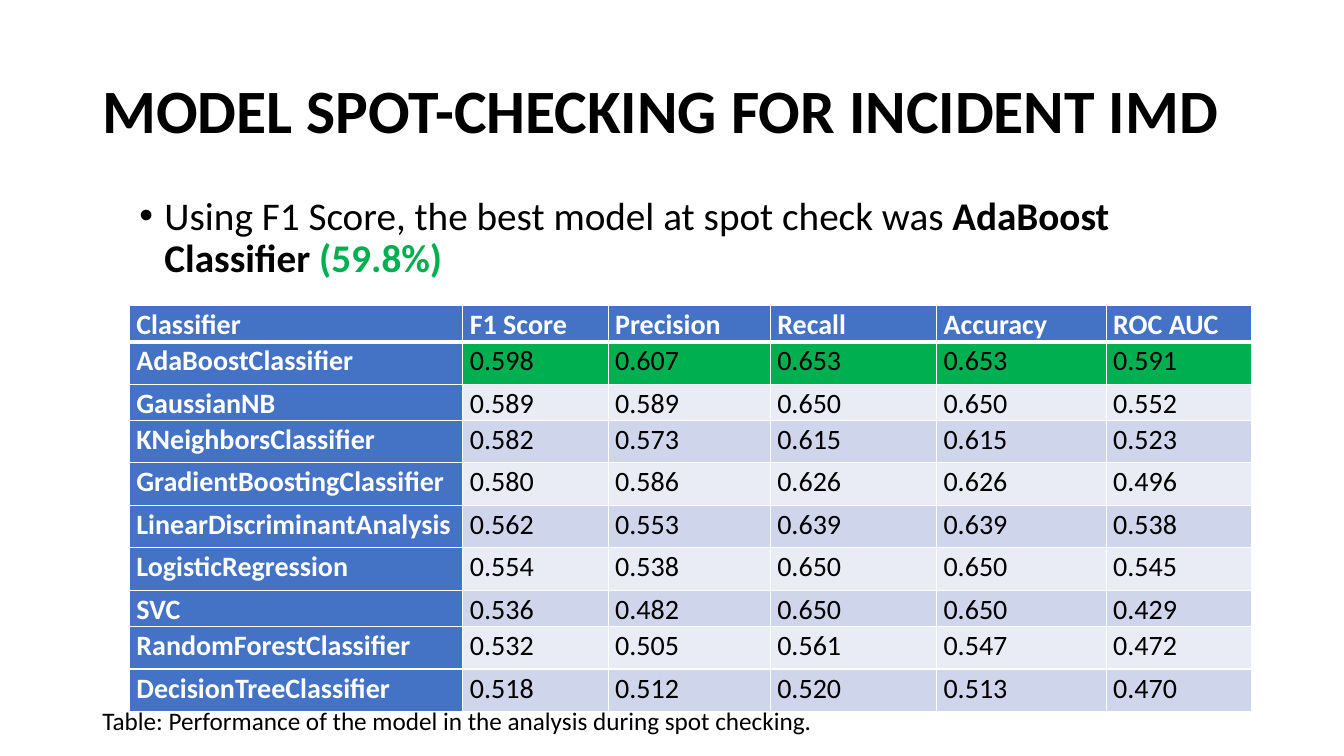
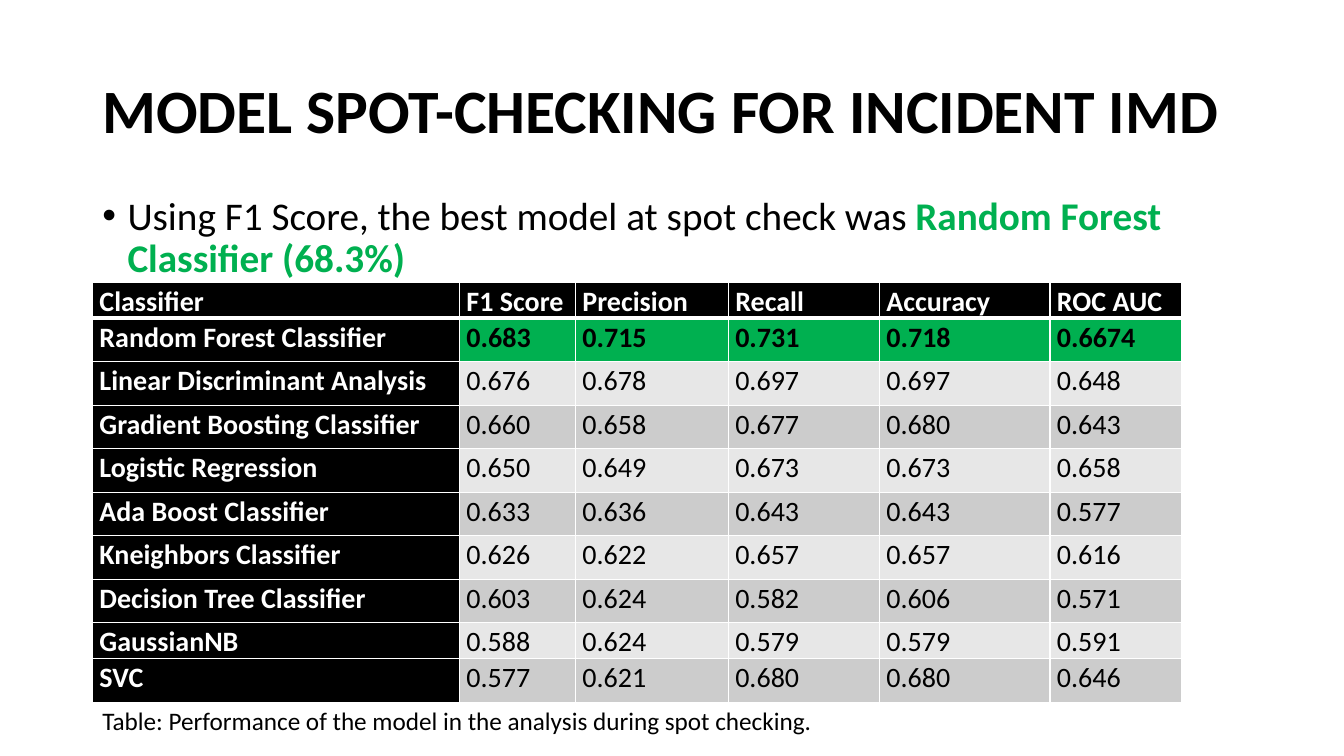
"""Build two slides that compare classifiers in spot-check score tables."""
from lxml import etree
from pptx import Presentation
from pptx import util as u
from pptx.dml.color import RGBColor
from pptx.enum import text
from pptx.oxml import ns

BLACK = RGBColor(0x00, 0x00, 0x00)
WHITE = RGBColor(0xFF, 0xFF, 0xFF)
GREEN = RGBColor(0x00, 0xB0, 0x50)
BLUE = RGBColor(0x44, 0x72, 0xC4)
PALE_BLUE = RGBColor(0xE9, 0xEB, 0xF5)
MID_BLUE = RGBColor(0xCF, 0xD5, 0xEA)
PALE_GREY = RGBColor(0xE7, 0xE7, 0xE7)
MID_GREY = RGBColor(0xCC, 0xCC, 0xCC)

BLUE_THEME = (BLUE, PALE_BLUE, MID_BLUE)
BLACK_THEME = (BLACK, PALE_GREY, MID_GREY)

TITLE = "MODEL SPOT-CHECKING FOR INCIDENT IMD"
FINDING = "Using F1 Score, the best model at spot check was "
CAPTION = "Table: Performance of the model in the analysis during spot checking."
HEADINGS = ("Classifier", "F1 Score", "Precision", "Recall", "Accuracy", "ROC AUC")

FIRST_SCORES = (
    ("AdaBoostClassifier", "0.598", "0.607", "0.653", "0.653", "0.591"),
    ("GaussianNB", "0.589", "0.589", "0.650", "0.650", "0.552"),
    ("KNeighborsClassifier", "0.582", "0.573", "0.615", "0.615", "0.523"),
    ("GradientBoostingClassifier", "0.580", "0.586", "0.626", "0.626", "0.496"),
    ("LinearDiscriminantAnalysis", "0.562", "0.553", "0.639", "0.639", "0.538"),
    ("LogisticRegression", "0.554", "0.538", "0.650", "0.650", "0.545"),
    ("SVC", "0.536", "0.482", "0.650", "0.650", "0.429"),
    ("RandomForestClassifier", "0.532", "0.505", "0.561", "0.547", "0.472"),
    ("DecisionTreeClassifier", "0.518", "0.512", "0.520", "0.513", "0.470"),
)
SECOND_SCORES = (
    ("Random Forest Classifier", "0.683", "0.715", "0.731", "0.718", "0.6674"),
    ("Linear Discriminant Analysis", "0.676", "0.678", "0.697", "0.697", "0.648"),
    ("Gradient Boosting Classifier", "0.660", "0.658", "0.677", "0.680", "0.643"),
    ("Logistic Regression", "0.650", "0.649", "0.673", "0.673", "0.658"),
    ("Ada Boost Classifier", "0.633", "0.636", "0.643", "0.643", "0.577"),
    ("Kneighbors Classifier", "0.626", "0.622", "0.657", "0.657", "0.616"),
    ("Decision Tree Classifier", "0.603", "0.624", "0.582", "0.606", "0.571"),
    ("GaussianNB", "0.588", "0.624", "0.579", "0.579", "0.591"),
    ("SVC", "0.577", "0.621", "0.680", "0.680", "0.646"),
)


class Deck:
    """Hold the style, a 160 by 90 grid and the current slide."""

    FONT = "Calibri"
    UNIT = u.Inches(13.33) / 160
    MARGIN = 11

    def __init__(self):
        """Start an empty widescreen presentation."""
        self.presentation = Presentation()
        self.presentation.slide_width = u.Inches(13.33)
        self.presentation.slide_height = u.Inches(7.5)
        self.slide = None

    def grid(self, *counts):
        """Turn counts of grid steps into lengths."""
        return [u.Emu(round(count * self.UNIT)) for count in counts]

    def style(self, paragraph, size, color=BLACK, bold=False, spacing=None):
        """Format every run of a paragraph alike."""
        if spacing:
            paragraph.line_spacing = spacing
        for run in paragraph.runs:
            run.font.name = self.FONT
            run.font.size = u.Pt(size)
            run.font.bold = bold
            run.font.color.rgb = color

    def add_slide(self):
        """Open a new slide with the shared title."""
        self.slide = self.presentation.slides.add_slide(self.presentation.slide_layouts[5])
        title = self.slide.shapes.title
        title.left, title.top, title.width, title.height = self.grid(self.MARGIN, 4.8, 138, 17.4)
        frame = title.text_frame
        frame.text = TITLE
        frame.word_wrap = True
        frame.auto_size = text.MSO_AUTO_SIZE.NONE
        frame.vertical_anchor = text.MSO_ANCHOR.MIDDLE
        frame.paragraphs[0].alignment = text.PP_ALIGN.LEFT
        self.style(frame.paragraphs[0], 44, bold=True, spacing=0.9)

    def add_text(self, words, left, top, width, height):
        """Add a wrapping text box and return its frame."""
        box = self.slide.shapes.add_textbox(*self.grid(left, top, width, height))
        box.text_frame.text = words
        box.text_frame.word_wrap = True
        return box.text_frame

    def add_finding(self, left, width, height, highlights):
        """Add the bulleted finding, ending in bold coloured runs."""
        paragraph = self.add_text(FINDING, left, 22.8, width, height).paragraphs[0]
        properties = paragraph._p.get_or_add_pPr()
        indent = self.grid(3)[0]
        properties.set("marL", str(indent))
        properties.set("indent", str(-indent))
        etree.SubElement(properties, ns.qn("a:buFont")).set("typeface", "Arial")
        etree.SubElement(properties, ns.qn("a:buChar")).set("char", "•")
        for words, _ in highlights:
            paragraph.add_run().text = words
        self.style(paragraph, 28, spacing=0.9)
        for run, (_, color) in zip(paragraph.runs[1:], highlights):
            run.font.bold = True
            run.font.color.rgb = color

    def add_caption(self):
        """Add the table caption at the foot."""
        frame = self.add_text(CAPTION, self.MARGIN, 83.4, 144.7, 4.8)
        frame.auto_size = text.MSO_AUTO_SIZE.SHAPE_TO_FIT_TEXT
        self.style(frame.paragraphs[0], 18)

    def add_borders(self, cell, top, bottom):
        """Draw white borders of the given widths in points."""
        properties = cell._tc.get_or_add_tcPr()
        for side, points in (("L", 1), ("R", 1), ("T", top), ("B", bottom)):
            line = etree.SubElement(properties, ns.qn(f"a:ln{side}"), w=str(u.Pt(points)))
            fill = etree.SubElement(line, ns.qn("a:solidFill"))
            etree.SubElement(fill, ns.qn("a:srgbClr"), val=str(WHITE))

    def add_scores(self, left, top, widths, heights, scores, theme, bold_best=False):
        """Add a score table whose first data row is highlighted."""
        header, pale, mid = theme
        rows = (HEADINGS, *scores)
        frame = self.slide.shapes.add_table(
            len(rows), len(widths), *self.grid(left, top, sum(widths), sum(heights)))
        table = frame.table
        table.horz_banding = False
        for column, width in zip(table.columns, self.grid(*widths)):
            column.width = width
        for row, height in zip(table.rows, self.grid(*heights)):
            row.height = height
        for i, values in enumerate(rows):
            band = GREEN if i == 1 else (mid if i % 2 else pale)
            for j, value in enumerate(values):
                heading = i == 0 or j == 0
                cell = table.cell(i, j)
                cell.text_frame.text = value
                cell.margin_left = cell.margin_right = u.Inches(0.07)
                cell.margin_top = cell.margin_bottom = 0
                self.add_borders(cell, 3 if i == 1 else 1, 3 if i == 0 else 1)
                cell.fill.solid()
                cell.fill.fore_color.rgb = header if heading else band
                self.style(cell.text_frame.paragraphs[0], 20, WHITE if heading else BLACK,
                           heading or (bold_best and i == 1), 1.07)


def row_heights(tall, short, short_rows):
    """List ten row heights, short at the given rows."""
    return [short if row in short_rows else tall for row in range(10)]


def main():
    """Build and save both slides."""
    deck = Deck()

    deck.add_slide()
    deck.add_finding(15.4, 133.7, 9.5, (("AdaBoost Classifier ", BLACK), ("(59.8%)", GREEN)))
    deck.add_caption()
    deck.add_scores(15.4, 36.4, (39.7, 17.3, 19.3, 19.8, 20.2, 17.3),
                    row_heights(5.07, 4, (0, 2, 7)), FIRST_SCORES, BLUE_THEME)

    deck.add_slide()
    deck.add_finding(11, 129.7, 12, (("Random Forest Classifier (68.3%)", GREEN),))
    deck.add_caption()
    deck.add_scores(11, 33.6, (43.7, 13.8, 18.2, 18, 20.3, 15.7),
                    row_heights(5.18, 2.6, (0, 8)), SECOND_SCORES, BLACK_THEME, bold_best=True)

    deck.presentation.save("out.pptx")


if __name__ == "__main__":
    main()
